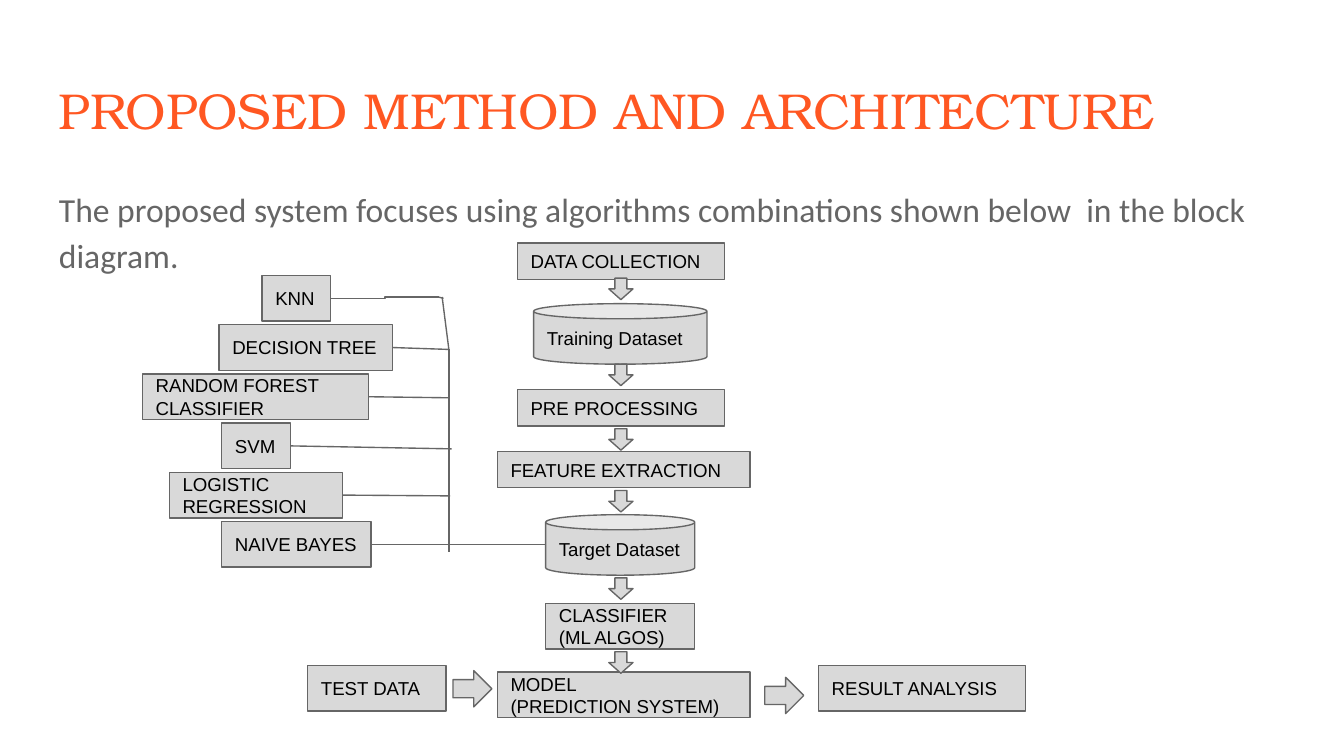
from typing import NamedTuple

from lxml.etree import SubElement
from pptx import Presentation
from pptx.dml.color import RGBColor
from pptx.enum.shapes import MSO_CONNECTOR, MSO_SHAPE
from pptx.enum.text import MSO_ANCHOR, PP_ALIGN
from pptx.oxml.ns import qn
from pptx.util import Inches, Pt

COLORS = {"title": "FF5722", "grey": "666666", "fill": "D9D9D9", "black": "000000"}
PAGE_WIDTH = 10
PAGE_HEIGHT = PAGE_WIDTH * 9 / 16
PROCESS = MSO_SHAPE.FLOWCHART_PROCESS
CAN = MSO_SHAPE.CAN
ROW_HEIGHT = 0.34
RIGHT_SIDE = 3


class Block(NamedTuple):
    label: str
    left: float
    top: float
    width: float
    height: float = ROW_HEIGHT
    kind: MSO_SHAPE = PROCESS


class Algorithm(NamedTuple):
    label: str
    left: float
    width: float
    line_end: tuple[float, float]
    line_kind: MSO_CONNECTOR = MSO_CONNECTOR.STRAIGHT


BLOCKS = [
    Block("DATA COLLECTION", 3.85, 1.81, 1.54, 0.27),
    Block("Training Dataset", 3.97, 2.26, 1.29, 0.45, CAN),
    Block("PRE PROCESSING", 3.85, 2.9, 1.54, 0.27, MSO_SHAPE.RECTANGLE),
    Block("FEATURE EXTRACTION", 3.7, 3.36, 1.88, 0.27),
    Block("Target Dataset", 4.06, 3.83, 1.11, 0.45, CAN),
    Block("CLASSIFIER\n(ML ALGOS)", 4.06, 4.49, 1.11),
    Block("MODEL\n(PREDICTION SYSTEM)", 3.7, 5, 1.88),
    Block("TEST DATA", 2.29, 4.95, 1.03),
    Block("RESULT ANALYSIS", 6.09, 4.95, 1.54),
]
DOWN_ARROW_TOPS = [2.07, 2.71, 3.19, 3.65, 4.3, 4.85]
RIGHT_ARROWS = [(3.37, 4.99), (5.69, 5.04)]

ALGORITHMS = [
    Algorithm("KNN", 1.95, 0.51, (3.27, 2.21), MSO_CONNECTOR.ELBOW),
    Algorithm("DECISION TREE", 1.63, 1.29, (3.34, 2.6)),
    Algorithm("RANDOM FOREST CLASSIFIER", 1.06, 1.68, (3.34, 2.96)),
    Algorithm("SVM", 1.65, 0.51, (3.36, 3.34)),
    Algorithm("LOGISTIC REGRESSION", 1.26, 1.29, (3.35, 3.69)),
    Algorithm("NAIVE BAYES", 1.65, 1.11, (4.06, 4.05)),
]
FIRST_ROW, LAST_ROW = 2.05, 3.88
ROW_STEP = (LAST_ROW - FIRST_ROW) / (len(ALGORITHMS) - 1)

# Trunk that gathers the algorithm lines
TRUNK = [
    ((3.26, 2.21), (3.3, 2.22)),
    ((3.29, 2.21), (3.34, 2.6)),
    ((3.34, 2.6), (3.34, 4.11)),
]


def color(name: str) -> RGBColor:
    return RGBColor.from_string(COLORS[name])


def write(shape, text: str, size: float, font: str, ink: str) -> None:
    frame = shape.text_frame
    frame.word_wrap = True
    frame.margin_left = frame.margin_right = Inches(0.1)
    frame.margin_top = frame.margin_bottom = Inches(0.1)
    for index, line in enumerate(text.split("\n")):
        para = frame.add_paragraph() if index else frame.paragraphs[0]
        para.alignment = PP_ALIGN.LEFT
        span = para.add_run()
        span.text = line
        span.font.size = Pt(size)
        span.font.name = font
        span.font.color.rgb = color(ink)


def add_text(page, top: float, height: float, text: str, size: float, font: str, ink: str):
    box = page.shapes.add_textbox(Inches(0.34), Inches(top), Inches(9.32), Inches(height))
    write(box, text, size, font, ink)
    return box


def add_shape(page, kind: MSO_SHAPE, left: float, top: float, width: float, height: float):
    shape = page.shapes.add_shape(kind, Inches(left), Inches(top), Inches(width), Inches(height))
    shape.shadow.inherit = False
    shape.fill.solid()
    shape.fill.fore_color.rgb = color("fill")
    shape.line.color.rgb = color("grey")
    shape.line.width = Pt(0.75)
    return shape


def add_block(page, block: Block):
    shape = add_shape(page, block.kind, block.left, block.top, block.width, block.height)
    write(shape, block.label, 10, "Arial", "black")
    shape.text_frame.vertical_anchor = MSO_ANCHOR.MIDDLE
    return shape


def add_line(page, start: tuple[float, float], end: tuple[float, float],
             kind: MSO_CONNECTOR = MSO_CONNECTOR.STRAIGHT):
    points = [Inches(value) for value in (*start, *end)]
    line = page.shapes.add_connector(kind, *points)
    line.line.color.rgb = color("grey")
    line.line.width = Pt(0.75)
    SubElement(line._element.spPr, qn("a:effectLst"))
    return line


def add_algorithm(page, item: Algorithm, top: float) -> None:
    box = add_block(page, Block(item.label, item.left, top, item.width))
    start = (item.left + item.width, top + ROW_HEIGHT / 2)
    line = add_line(page, start, item.line_end, item.line_kind)
    line.begin_connect(box, RIGHT_SIDE)


def main() -> None:
    deck = Presentation()
    deck.slide_width, deck.slide_height = Inches(PAGE_WIDTH), Inches(PAGE_HEIGHT)
    page = deck.slides.add_slide(deck.slide_layouts[6])

    # Heading and introduction
    add_text(page, 0.49, 0.63, "PROPOSED METHOD AND ARCHITECTURE", 27, "TeX Gyre Bonum", "title")
    intro = add_text(
        page, 1.26, 3.74,
        "The proposed system focuses using algorithms combinations shown below  in the block diagram.",
        18, "Calibri", "grey")
    intro.text_frame.paragraphs[0].line_spacing = 1.15
    intro.text_frame.paragraphs[0].space_after = Pt(12)

    # Main pipeline
    for block in BLOCKS:
        add_block(page, block)
    for top in DOWN_ARROW_TOPS:
        add_shape(page, MSO_SHAPE.DOWN_ARROW, 4.53, top, 0.18, 0.16)
    for left, top in RIGHT_ARROWS:
        add_shape(page, MSO_SHAPE.RIGHT_ARROW, left, top, 0.29, 0.27)

    # Algorithms feeding the target dataset
    for row, item in enumerate(ALGORITHMS):
        add_algorithm(page, item, FIRST_ROW + row * ROW_STEP)
    for start, end in TRUNK:
        add_line(page, start, end)

    deck.save("out.pptx")


if __name__ == "__main__":
    main()
